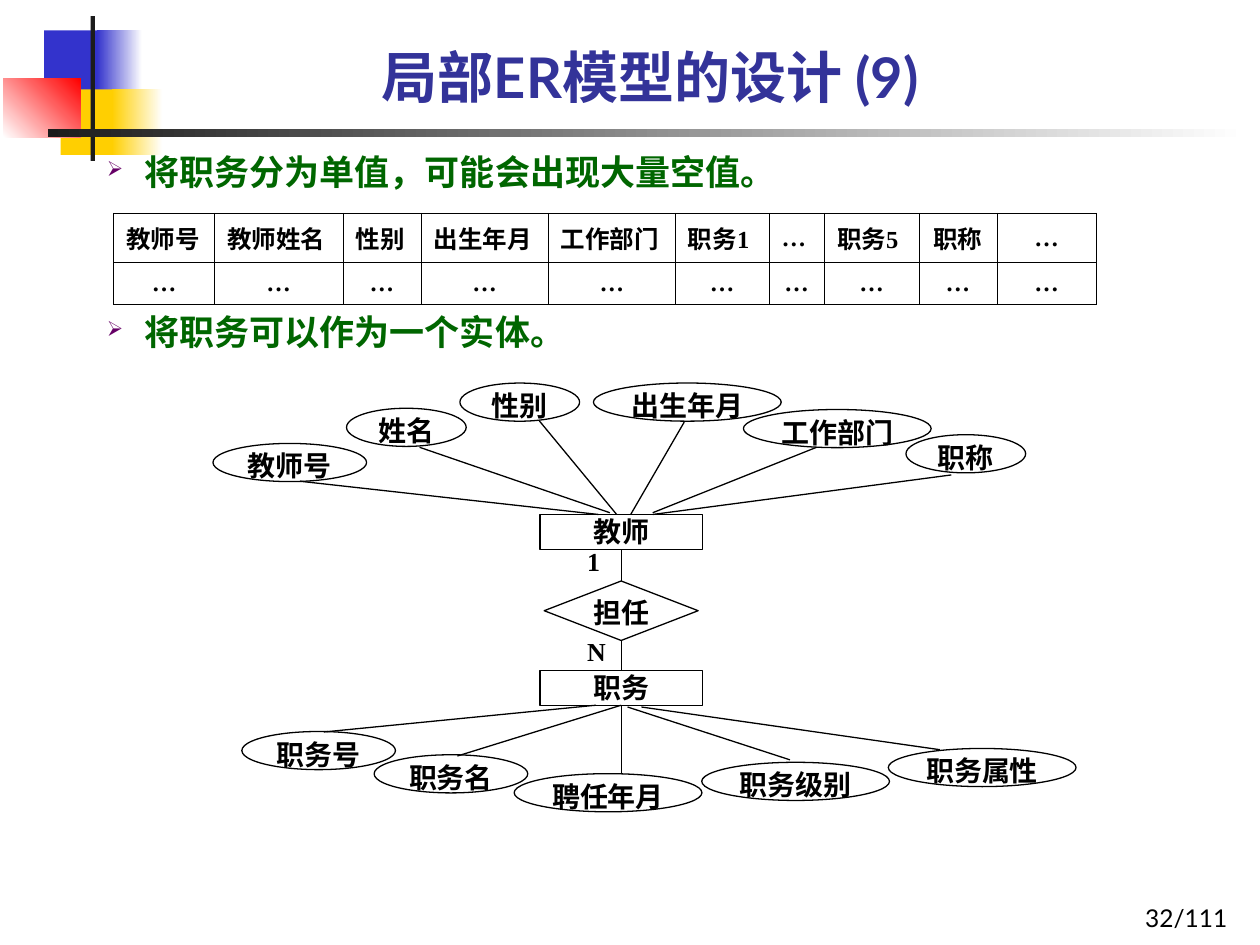
from lxml import etree
from pptx import Presentation
from pptx.dml.color import RGBColor
from pptx.enum.shapes import MSO_CONNECTOR, MSO_SHAPE
from pptx.enum.text import MSO_ANCHOR, PP_ALIGN
from pptx.oxml import parse_xml
from pptx.oxml.ns import nsdecls, qn
from pptx.util import Pt

RECT, OVAL, DIAMOND = MSO_SHAPE.RECTANGLE, MSO_SHAPE.OVAL, MSO_SHAPE.DIAMOND
STRAIGHT = MSO_CONNECTOR.STRAIGHT
LEFT, CENTER, RIGHT, JUSTIFY = PP_ALIGN.LEFT, PP_ALIGN.CENTER, PP_ALIGN.RIGHT, PP_ALIGN.JUSTIFY
TOP, MIDDLE, BOTTOM = MSO_ANCHOR.TOP, MSO_ANCHOR.MIDDLE, MSO_ANCHOR.BOTTOM
BLACK, WHITE = "000000", "FFFFFF"
SERIF, SANS = "Times New Roman", "Lato"
colour = RGBColor.from_string


def write(frame, text, size, font=SERIF, hue=BLACK, bold=True, align=CENTER,
          anchor=TOP, margins=(0, 0)):
    frame.word_wrap = True
    frame.vertical_anchor = anchor
    frame.margin_left = frame.margin_right = Pt(margins[0])
    frame.margin_top = frame.margin_bottom = Pt(margins[1])
    para = frame.paragraphs[0]
    para.alignment = align
    span = para.add_run()
    span.text = text
    span.font.size, span.font.name, span.font.bold = Pt(size), font, bold
    span.font.color.rgb = colour(hue)
    return para


def draw_node(kind, text, left, top, width, height, fill=None):
    node = page.shapes.add_shape(kind, Pt(left), Pt(top), Pt(width), Pt(height))
    node.shadow.inherit = False
    if fill:
        node.fill.solid()
        node.fill.fore_color.rgb = colour(fill)
    else:
        node.fill.background()
    node.line.color.rgb = colour(BLACK)
    node.line.width = Pt(0.75)
    write(node.text_frame, text, 16)
    return node


deck = Presentation()
deck.slide_width, deck.slide_height = Pt(720), Pt(540)
page = deck.slides.add_slide(deck.slide_layouts[6])

# Corner ornament and title rule: place, colours, gradient angle
for left, top, width, height, hues, angle in [
    (25.2, 17.3, 34.6, 37.4, ["3333CC"], 0),
    (55.4, 17.3, 25.9, 37.4, ["3333CC", WHITE], 0),
    (34.6, 51.1, 33.1, 37.4, ["FFCF01"], 0),
    (64.1, 51.1, 28.8, 37.4, ["FFCF01", WHITE], 0),
    (2, 45, 44, 33.4, [WHITE, "FF0000"], 45),
    (51.8, 9.2, 2.4, 82.8, ["1C1C1C"], 0),
    (27.2, 73.9, 685, 4.4, ["1C1C1C", WHITE], 0),
]:
    block = page.shapes.add_shape(RECT, Pt(left), Pt(top), Pt(width), Pt(height))
    block.shadow.inherit = False
    block.line.fill.background()
    if len(hues) == 1:
        block.fill.solid()
        block.fill.fore_color.rgb = colour(hues[0])
    else:
        block.fill.gradient()
        block.fill.gradient_angle = angle
        for stop, hue in zip(block.fill.gradient_stops, hues):
            stop.color.rgb = colour(hue)

# Title and page number
box = page.shapes.add_textbox(Pt(64.8), Pt(3.6), Pt(613.4), Pt(62.6))
write(box.text_frame, "局部ER模型的设计 (9)", 32, SANS, "333399",
      anchor=BOTTOM, margins=(7.2, 3.6))
box = page.shapes.add_textbox(Pt(558.7), Pt(500.4), Pt(149.8), Pt(36))
write(box.text_frame, "32/111", 14, SANS, bold=False, align=RIGHT,
      anchor=BOTTOM, margins=(7.2, 3.6))

# Bulleted statements
for top, text in [(82.3, "将职务分为单值，可能会出现大量空值。"),
                  (173.8, "将职务可以作为一个实体。")]:
    box = page.shapes.add_textbox(Pt(54), Pt(top), Pt(561), Pt(31.7))
    para = write(box.text_frame, text, 20, SANS, "006600", align=LEFT,
                 margins=(7.2, 3.6))
    props = para._p.get_or_add_pPr()
    props.set("marL", str(Pt(21.5)))
    props.set("indent", str(-Pt(21.5)))
    bullet_hue = etree.SubElement(props, qn("a:buClr"))
    etree.SubElement(bullet_hue, qn("a:srgbClr"), val="660066")
    etree.SubElement(props, qn("a:buSzPct"), val="60000")
    etree.SubElement(props, qn("a:buChar"), char="➢")

# Teacher table
columns = [("教师号", 57.6), ("教师姓名", 73.4), ("性别", 44.6), ("出生年月", 72.7),
           ("工作部门", 72.7), ("职务1", 53.5), ("…", 31.7), ("职务5", 54),
           ("职称", 44.6), ("…", 56.9)]
row_heights = [28, 24]
grid = page.shapes.add_table(2, len(columns), Pt(65), Pt(121.9),
                             Pt(sum(width for _, width in columns)),
                             Pt(sum(row_heights))).table
grid.first_row = grid.horz_banding = False
for row, height in zip(grid.rows, row_heights):
    row.height = Pt(height)
for index, (heading, width) in enumerate(columns):
    grid.columns[index].width = Pt(width)
    for row, text in enumerate([heading, "…"]):
        cell = grid.cell(row, index)
        props = cell._tc.get_or_add_tcPr()
        for side in ("lnL", "lnR", "lnT", "lnB"):
            props.append(parse_xml(
                f'<a:{side} {nsdecls("a")} w="{Pt(0.45)}"><a:solidFill>'
                f'<a:srgbClr val="{BLACK}"/></a:solidFill></a:{side}>'))
        cell.fill.background()
        cell.vertical_anchor = MIDDLE
        # Left-aligned headings need the full width to stay on one line
        align = LEFT if row == 0 and index < 8 else CENTER
        cell.margin_left = Pt(7.2)
        cell.margin_right = Pt(0 if align == LEFT else 7.2)
        cell.margin_top = cell.margin_bottom = Pt(3.6)
        para = cell.text_frame.paragraphs[0]
        para.alignment = align
        span = para.add_run()
        span.text = text
        span.font.size, span.font.name, span.font.bold = Pt(14), SERIF, True
        span.font.color.rgb = colour(BLACK)

# Entities, centred on one axis
AXIS = 355
teacher = draw_node(RECT, "教师", AXIS - 46.5, 294, 93, 20, WHITE)
duty = draw_node(RECT, "职务", AXIS - 46.5, 383, 93, 20, WHITE)

# Attributes: the oval widens with the number of characters
oval_widths = {2: 68.4, 3: 87.8, 4: 107.3}
for text, left, top in [
    ("教师号", 121.7, 253.4), ("姓名", 198, 233.3), ("性别", 262.8, 218.9),
    ("出生年月", 339.1, 218.9), ("工作部门", 424.8, 234), ("职称", 517.7, 248.4),
    ("职务号", 138.2, 418), ("职务名", 213.8, 431.3), ("聘任年月", 293.8, 442.1),
    ("职务级别", 401, 435.6), ("职务属性", 507.6, 427.7),
]:
    draw_node(OVAL, text, left, top, oval_widths[len(text)], 21.8)

# Links: start, end, entity joined at the start, entity joined at the end
for x1, y1, x2, y2, source, target in [
    (171.4, 275, 342, 294, None, None), (239.8, 255.6, 348.5, 293, None, None),
    (308.2, 240.5, 352.4, 294, None, None), (391, 241.2, 360.4, 294, None, None),
    (466.6, 255.6, 373, 293, None, None), (543.6, 271.4, 373, 294, None, None),
    (AXIS, 314, AXIS, 383, teacher, duty),
    (340.6, 403, 185, 418.3, None, None), (AXIS, 403, 261.4, 432, duty, None),
    (AXIS, 403, AXIS, 442.1, duty, None), (358.6, 404, 451.4, 434.2, None, None),
    (366.5, 404, 537.1, 428.4, None, None),
]:
    link = page.shapes.add_connector(STRAIGHT, Pt(x1), Pt(y1), Pt(x2), Pt(y2))
    link.line.color.rgb = colour(BLACK)
    link.line.width = Pt(0.75)
    etree.SubElement(link._element.spPr, qn("a:effectLst"))
    if source:
        link.begin_connect(source, 2)
    if target:
        link.end_connect(target, 0)

# Relationship and its cardinalities
draw_node(DIAMOND, "担任", AXIS - 44, 332, 88, 34, WHITE)
for text, top in [("1", 314), ("N", 365)]:
    box = page.shapes.add_textbox(Pt(335.5), Pt(top), Pt(17), Pt(18.7))
    para = write(box.text_frame, text, 14.8, align=JUSTIFY)
    para.line_spacing = 0.9

deck.save("out.pptx")
